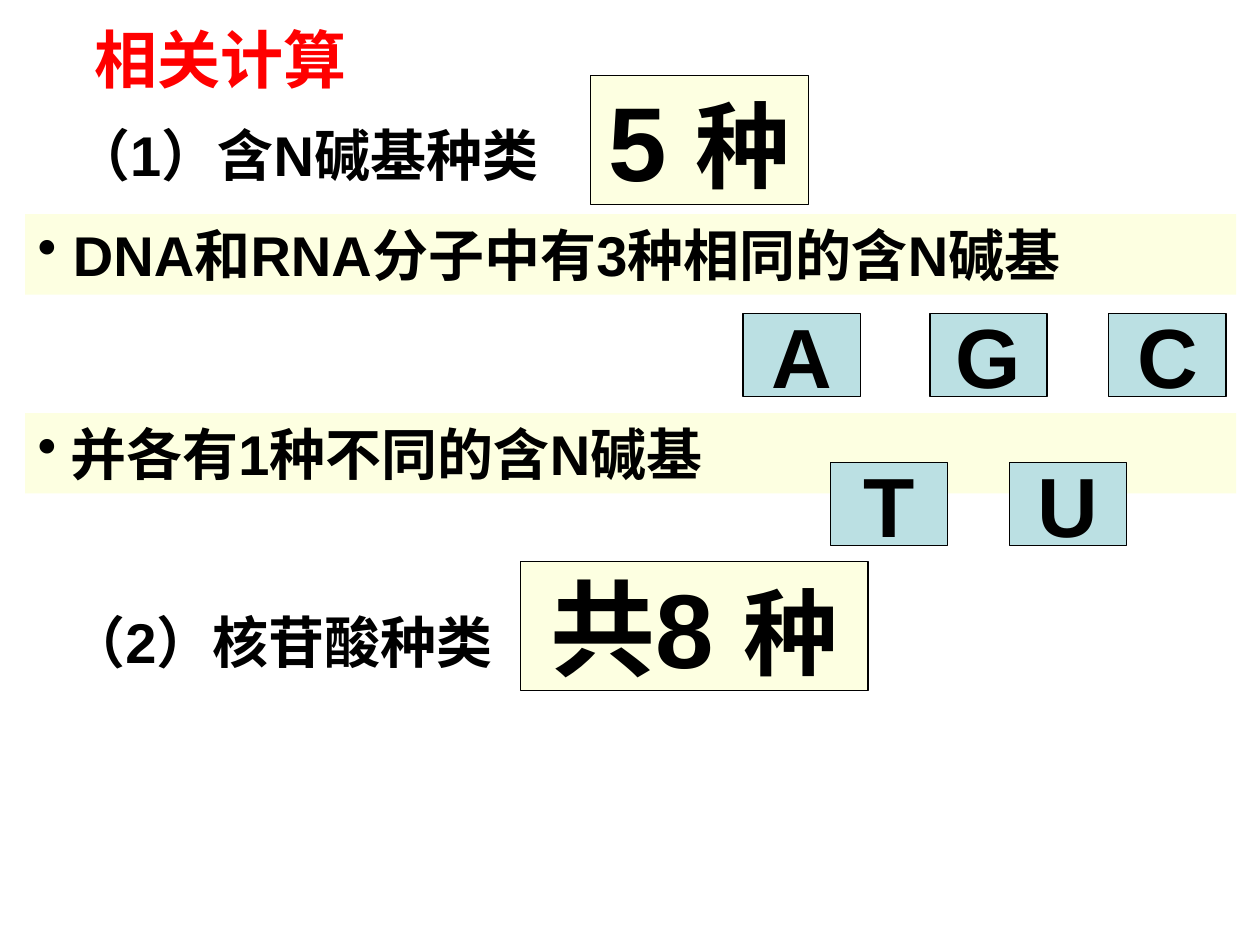
import pptx
import pptx.util
import pptx.dml.color
import pptx.enum.shapes
import pptx.enum.text
import pptx.oxml.ns
import lxml.etree

Pt = pptx.util.Pt
RGB = pptx.dml.color.RGBColor
ALIGN = pptx.enum.text.PP_ALIGN
ANCHOR = pptx.enum.text.MSO_ANCHOR
RED = RGB(0xFF, 0x00, 0x00)
BLACK = RGB(0x00, 0x00, 0x00)
CREAM = RGB(0xFD, 0xFF, 0xE1)
TEAL = RGB(0xBB, 0xE0, 0xE3)


def style(run, size, color=BLACK):
    """Give a run the bold Arial look."""
    font = run.font
    font.name, font.size, font.bold = "Arial", Pt(size), True
    font.color.rgb = color


def label(slide, box, text, size=32, color=BLACK, wrap=True, hang=0):
    """Place a plain line of text with an optional hanging indent."""
    frame = slide.shapes.add_textbox(*map(Pt, box)).text_frame
    frame.text, frame.word_wrap = text, wrap
    para = frame.paragraphs[0]
    style(para.runs[0], size, color)
    if hang:
        props = para._p.get_or_add_pPr()
        props.set("marL", str(Pt(hang)))
        props.set("indent", str(Pt(-hang)))


def panel(slide, box, fill, edge=False):
    """Place a filled rectangle and return its text frame."""
    kind = pptx.enum.shapes.MSO_SHAPE.RECTANGLE
    shape = slide.shapes.add_shape(kind, *map(Pt, box))
    shape.shadow.inherit = False
    shape.fill.solid()
    shape.fill.fore_color.rgb = fill
    if edge:
        shape.line.color.rgb = BLACK
        shape.line.width = Pt(0.75)
    else:
        shape.line.fill.background()
    return shape.text_frame


def band(slide, box, text):
    """Place a bulleted statement on a cream band."""
    frame = panel(slide, box, CREAM)
    frame.text, frame.word_wrap = text, True
    frame.vertical_anchor = ANCHOR.TOP
    para = frame.paragraphs[0]
    para.alignment = ALIGN.LEFT
    style(para.runs[0], 32)
    props = para._p.get_or_add_pPr()
    tint = lxml.etree.SubElement(props, pptx.oxml.ns.qn("a:buClr"))
    lxml.etree.SubElement(tint, pptx.oxml.ns.qn("a:srgbClr"), val=str(BLACK))
    lxml.etree.SubElement(props, pptx.oxml.ns.qn("a:buChar"), char="•")


def card(slide, box, fill, parts):
    """Place a framed card with centred runs of given sizes."""
    frame = panel(slide, box, fill, True)
    frame.word_wrap = False
    frame.vertical_anchor = ANCHOR.MIDDLE
    para = frame.paragraphs[0]
    para.alignment = ALIGN.CENTER
    for text, size in parts:
        run = para.add_run()
        run.text = text
        style(run, size)


def bases(slide, top, marks):
    """Place a row of base letters at their left edges."""
    for mark, left in marks:
        card(slide, (left, top, 67, 47.5), TEAL, [(mark, 48)])


def main():
    """Build the slide and save it."""
    deck = pptx.Presentation()
    deck.slide_width, deck.slide_height = Pt(720), Pt(540)
    slide = deck.slides.add_slide(deck.slide_layouts[6])
    label(slide, (46.8, 8, 158.4, 50.4), "相关计算", 36, RED, False)
    band(slide, (14.4, 122.4, 692, 46), " DNA和RNA分子中有3种相同的含N碱基")
    label(slide, (28, 65.5, 326, 46), " （1）含N碱基种类", hang=27)
    label(slide, (25.2, 343.4, 292.3, 46), " （2）核苷酸种类", hang=27)
    band(slide, (14.4, 236, 692, 46), " 并各有1种不同的含N碱基")
    bases(slide, 179.3, [("A", 424.6), ("G", 531.4), ("C", 633.6)])
    bases(slide, 264.2, [("T", 474.5), ("U", 576.7)])
    for box, count in (
        ((337.4, 43.2, 124.6, 73.6), "5 "),
        ((297.4, 321, 198.7, 73.6), "共8 "),
    ):
        card(slide, box, CREAM, [(count, 60), ("种", 54)])
    deck.save("out.pptx")


if __name__ == "__main__":
    main()
